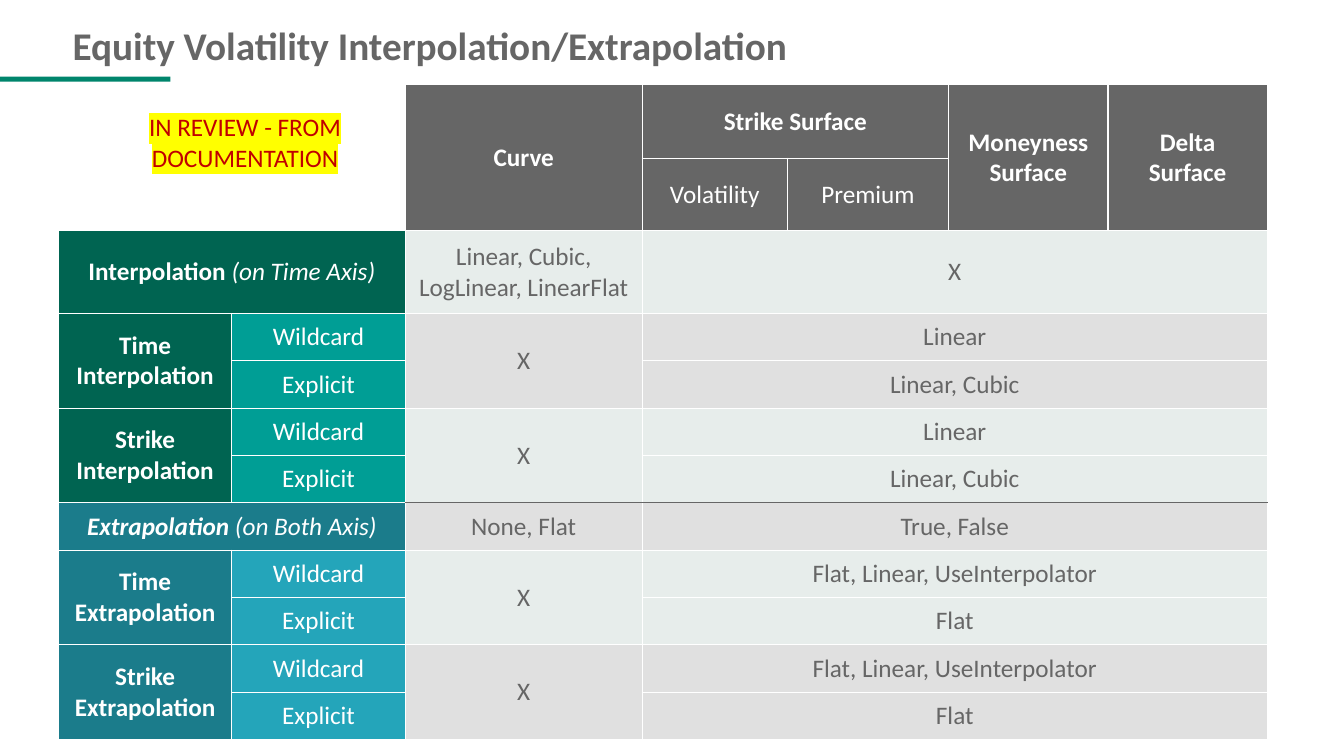
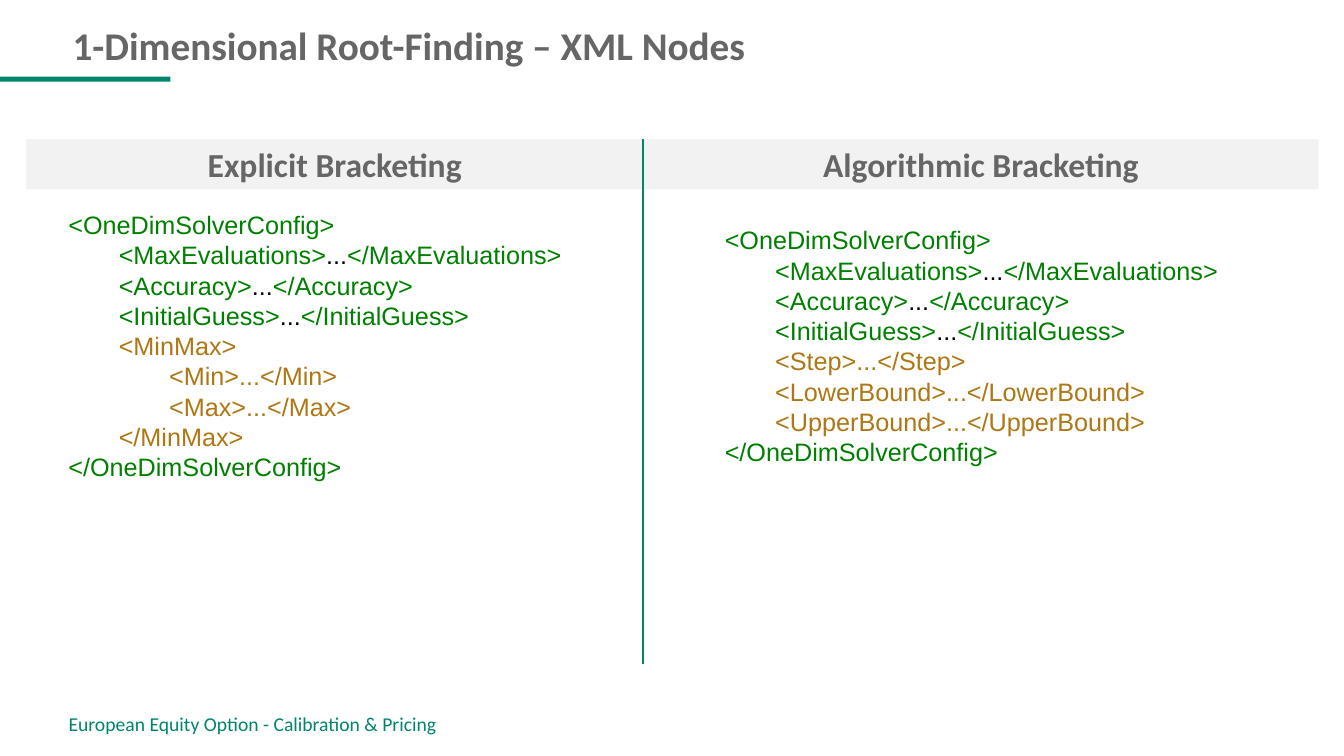
from dataclasses import dataclass

from lxml import etree
from pptx import Presentation
from pptx.dml.color import RGBColor as Rgb
from pptx.enum.shapes import MSO_CONNECTOR as Connector, MSO_SHAPE as Shape
from pptx.enum.text import MSO_ANCHOR as Anchor, MSO_AUTO_SIZE as AutoSize, PP_ALIGN as Align
from pptx.oxml.ns import qn
from pptx.util import Inches, Pt


@dataclass(frozen=True)
class Theme:
    accent: str = "00856C"
    gray: str = "666666"
    white: str = "FFFFFF"
    black: str = "000000"
    band: str = "F2F2F2"
    pale_green: str = "E7EDEB"
    pale_gray: str = "E0E0E0"
    green: str = "006451"
    light_green: str = "009E95"
    blue: str = "1B7C8B"
    light_blue: str = "24A5BA"
    warning: str = "C00000"
    marker: str = "FFFF00"
    code_common: str = "008000"
    code_special: str = "AF7714"
    font: str = "Calibri"
    code_font: str = "Arial"
    title_size: int = 28
    heading_size: int = 24
    text_size: int = 18
    footer_size: int = 14


THEME = Theme()
TITLE_ONLY, TITLE_AND_BODY = 5, 1


# Shared helpers

def place(shape, box):
    shape.left, shape.top, shape.width, shape.height = map(Inches, box)


def add_color(parent, tag, color):
    node = etree.SubElement(parent, qn(tag))
    etree.SubElement(node, qn("a:srgbClr")).set("val", color)
    return node


def write_text(frame, paragraphs, size=THEME.text_size, color=THEME.gray, font=THEME.font,
               bold=False, italic=False, align=Align.LEFT, anchor=Anchor.TOP,
               line_spacing=None, highlight=None):
    """Each paragraph is a string or (level, [(text, run format), ...])."""
    frame.word_wrap = True
    frame.vertical_anchor = anchor
    for index, content in enumerate(paragraphs):
        level, runs = (0, [(content, {})]) if isinstance(content, str) else content
        paragraph = frame.paragraphs[0] if index == 0 else frame.add_paragraph()
        properties = paragraph._p.get_or_add_pPr()
        properties.set("marL", str(Inches(0.5 * level)))
        properties.set("indent", "0")
        etree.SubElement(properties, qn("a:buNone"))
        paragraph.level = level
        paragraph.alignment = align
        paragraph.space_before = Pt(0)
        if line_spacing:
            paragraph.line_spacing = line_spacing
        for text, changes in runs:
            run = paragraph.add_run()
            run.text = text
            run.font.size = Pt(size)
            run.font.name = font
            run.font.bold = changes.get("bold", bold)
            run.font.italic = changes.get("italic", italic)
            run.font.color.rgb = Rgb.from_string(changes.get("color", color))
            if highlight:
                run_properties = run._r.get_or_add_rPr()
                mark = add_color(run_properties, "a:highlight", highlight)
                run_properties.find(qn("a:solidFill")).addnext(mark)


def add_text(slide, box, paragraphs, **text_format):
    shape = slide.shapes.add_textbox(*map(Inches, box))
    write_text(shape.text_frame, paragraphs, **text_format)


def add_rectangle(slide, box, color):
    shape = slide.shapes.add_shape(Shape.RECTANGLE, *map(Inches, box))
    shape.shadow.inherit = False
    shape.fill.solid()
    shape.fill.fore_color.rgb = Rgb.from_string(color)
    shape.line.fill.background()
    return shape


def add_slide(presentation, layout, title):
    slide = presentation.slides.add_slide(presentation.slide_layouts[layout])
    add_rectangle(slide, (0, 0.76, 1.69, 0.05), THEME.accent)
    heading = slide.shapes.title
    place(heading, (0.62, 0.04, 10.09, 0.69))
    heading.text_frame.auto_size = AutoSize.NONE
    write_text(heading.text_frame, [title], size=THEME.title_size, bold=True,
               anchor=Anchor.BOTTOM, line_spacing=0.9)
    return slide


def add_footer(slide, text):
    footer = slide.placeholders[1]
    place(footer, (0.58, 7.04, 4.04, 0.35))
    footer.text_frame.auto_size = AutoSize.NONE
    write_text(footer.text_frame, [text], size=THEME.footer_size, color=THEME.accent,
               line_spacing=0.9)


# Interpolation table

def set_borders(cell, **edges):
    properties = cell._tc.get_or_add_tcPr()
    for position, edge in enumerate("LRTB"):
        line = etree.Element(qn(f"a:ln{edge}"), w=str(Pt(1)))
        add_color(line, "a:solidFill", edges.get(edge, THEME.white))
        properties.insert(position, line)


def fill_cell(table, row, column, row_span, column_span, fill, paragraphs, **text_format):
    cell = table.cell(row, column)
    if row_span * column_span > 1:
        cell.merge(table.cell(row + row_span - 1, column + column_span - 1))
    for r in range(row, row + row_span):
        for c in range(column, column + column_span):
            part = table.cell(r, c)
            if fill:
                part.fill.solid()
                part.fill.fore_color.rgb = Rgb.from_string(fill)
            else:
                part.fill.background()
    if paragraphs:
        write_text(cell.text_frame, paragraphs, align=Align.CENTER, **text_format)
        cell.vertical_anchor = Anchor.MIDDLE


def fill_header(table):
    fill_cell(table, 0, 0, 2, 2, None, [])
    headings = [
        (0, 2, 2, 1, ["Curve"], True),
        (0, 3, 1, 2, ["Strike Surface"], True),
        (0, 5, 2, 1, ["Moneyness Surface"], True),
        (0, 6, 2, 1, ["Delta", "Surface"], True),
        (1, 3, 1, 1, ["Volatility"], False),
        (1, 4, 1, 1, ["Premium"], False),
    ]
    for *area, paragraphs, bold in headings:
        fill_cell(table, *area, THEME.gray, paragraphs, color=THEME.white, bold=bold)


def fill_summary(table, row, label, axis, italic, dark, pale, curve, surface):
    runs = [(label + " ", {"bold": True, "italic": italic}), (axis, {"italic": True})]
    fill_cell(table, row, 0, 1, 2, dark, [(0, runs)], color=THEME.white)
    fill_cell(table, row, 2, 1, 1, pale, [curve])
    fill_cell(table, row, 3, 1, 4, pale, [surface])


def fill_group(table, row, label, dark, light, pale, values):
    fill_cell(table, row, 0, 2, 1, dark, [label], color=THEME.white, bold=True)
    fill_cell(table, row, 2, 2, 1, pale, ["X"])
    for offset, (kind, value) in enumerate(zip(("Wildcard", "Explicit"), values)):
        fill_cell(table, row + offset, 1, 1, 1, light, [kind], color=THEME.white)
        fill_cell(table, row + offset, 3, 1, 4, pale, [value])


def add_method_table(slide, left, top):
    widths = [1.72, 1.72, 2.35, 1.44, 1.6, 1.58, 1.58]
    heights = [0.73, 0.72, 0.82] + [0.47] * 9
    table = slide.shapes.add_table(len(heights), len(widths), Inches(left), Inches(top),
                                   Inches(sum(widths)), Inches(sum(heights))).table
    table.first_row = table.horz_banding = False
    for column, width in zip(table.columns, widths):
        column.width = Inches(width)
    for row, height in zip(table.rows, heights):
        row.height = Inches(height)

    fill_header(table)
    fill_summary(table, 2, "Interpolation", "(on Time Axis)", False, THEME.green,
                 THEME.pale_green, "Linear, Cubic, LogLinear, LinearFlat", "X")
    fill_summary(table, 7, "Extrapolation", "(on Both Axis)", True, THEME.blue,
                 THEME.pale_gray, "None, Flat", "True, False")
    inside, outside = ("Linear", "Linear, Cubic"), ("Flat, Linear, UseInterpolator", "Flat")
    greens, blues = (THEME.green, THEME.light_green), (THEME.blue, THEME.light_blue)
    groups = [
        (3, "Time Interpolation", *greens, THEME.pale_gray, inside),
        (5, "Strike Interpolation", *greens, THEME.pale_green, inside),
        (8, "Time Extrapolation", *blues, THEME.pale_green, outside),
        (10, "Strike Extrapolation", *blues, THEME.pale_gray, outside),
    ]
    for group in groups:
        fill_group(table, *group)

    # A gray rule parts interpolation from extrapolation
    for r in range(len(heights)):
        for c in range(len(widths)):
            edges = {}
            if c >= 2 and r in (5, 6, 7):
                spans_rule = r == 6 or (r == 5 and c == 2)
                edges = {"T": THEME.gray} if r == 7 else {"B": THEME.gray} if spans_rule else {}
            set_borders(table.cell(r, c), **edges)


def build_interpolation_slide(presentation):
    slide = add_slide(presentation, TITLE_ONLY, "Equity Volatility Interpolation/Extrapolation")
    add_method_table(slide, 0.58, 0.84)
    add_text(slide, (0.77, 1.06, 3.32, 0.71), ["IN REVIEW - FROM DOCUMENTATION"],
             color=THEME.warning, align=Align.CENTER, highlight=THEME.marker)


# XML node columns

def special(level, text):
    return level, [(text, {"color": THEME.code_special})]


def solver_config(special_lines):
    common = [(1, [(f"<{name}>", {}), ("...", {"color": THEME.black}), (f"</{name}>", {})])
              for name in ("MaxEvaluations", "Accuracy", "InitialGuess")]
    return ["<OneDimSolverConfig>", *common, *special_lines, "</OneDimSolverConfig>"]


def add_code_column(slide, heading_box, heading, code_box, special_lines):
    add_text(slide, code_box, solver_config(special_lines),
             color=THEME.code_common, font=THEME.code_font)
    band = add_rectangle(slide, heading_box, THEME.band)
    write_text(band.text_frame, [heading], size=THEME.heading_size, bold=True,
               align=Align.CENTER, anchor=Anchor.MIDDLE)


def add_divider(slide, x, top, bottom):
    line = slide.shapes.add_connector(Connector.STRAIGHT, Inches(x), Inches(top),
                                      Inches(x), Inches(bottom))
    line.line.color.rgb = Rgb.from_string(THEME.accent)
    line.line.width = Pt(1.5)
    etree.SubElement(line._element.spPr, qn("a:effectLst"))


def build_xml_slide(presentation):
    slide = add_slide(presentation, TITLE_AND_BODY, "1-Dimensional Root-Finding – XML Nodes")
    add_footer(slide, "European Equity Option - Calibration & Pricing")
    left, middle, right, top = 0.26, 6.38, 13.08, 1.38
    add_code_column(slide, (left, top, middle - left, 0.5), "Explicit Bracketing",
                    (0.58, 2.03, 5.8, 2.83),
                    [special(1, "<MinMax>"), special(2, "<Min>...</Min>"),
                     special(2, "<Max>...</Max>"), special(1, "</MinMax>")])
    add_code_column(slide, (middle, top, right - middle, 0.5), "Algorithmic Bracketing",
                    (7.09, 2.18, 5.8, 2.52),
                    [special(1, f"<{name}>...</{name}>")
                     for name in ("Step", "LowerBound", "UpperBound")])
    add_divider(slide, middle, top, 6.59)


def main():
    presentation = Presentation()
    presentation.slide_width, presentation.slide_height = Inches(13.33), Inches(7.5)
    build_interpolation_slide(presentation)
    build_xml_slide(presentation)
    presentation.save("out.pptx")


if __name__ == "__main__":
    main()
